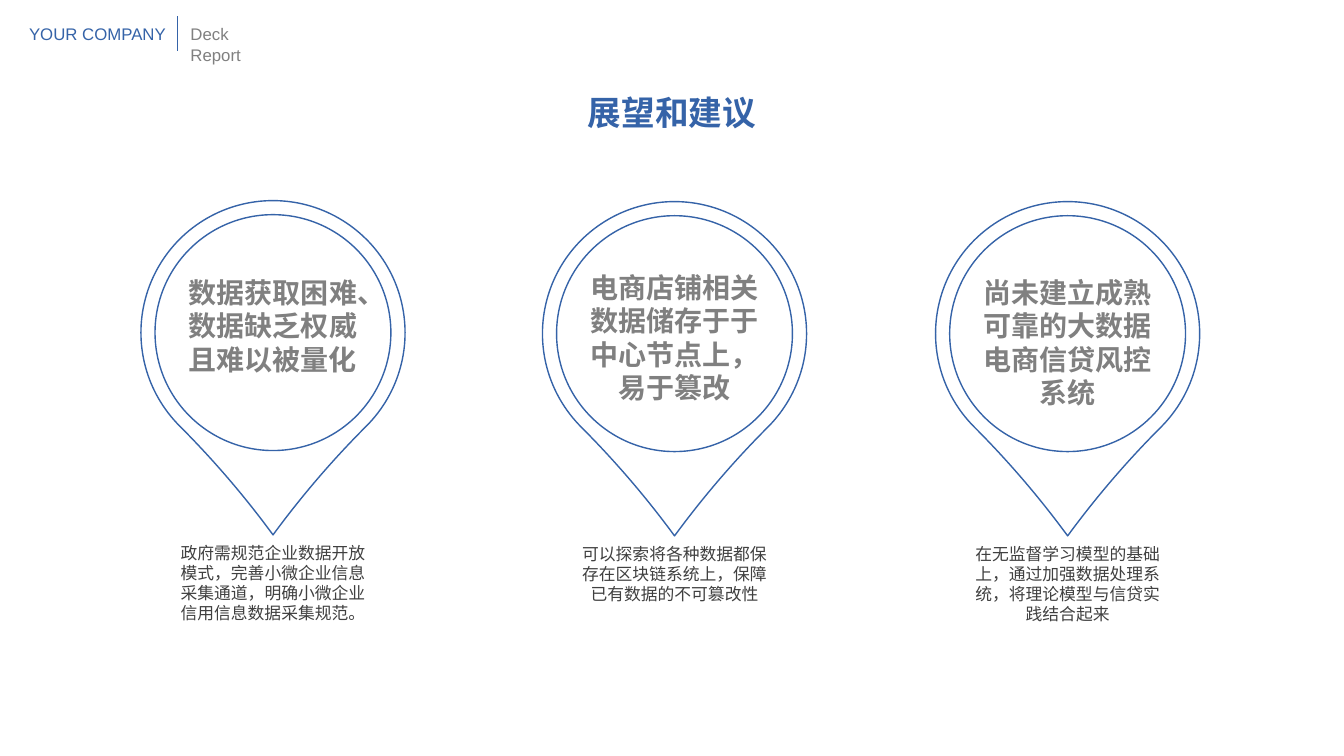
from pptx import Presentation
from pptx.dml.color import RGBColor
from pptx.enum.shapes import MSO_CONNECTOR as Connector, MSO_SHAPE as Shape
from pptx.enum.text import MSO_ANCHOR as Anchor, MSO_AUTO_SIZE as AutoSize, PP_ALIGN as Align
from pptx.oxml.ns import qn
from pptx.util import Inches, Pt
from lxml.etree import SubElement

COLORS = {"blue": "3563A8", "gray": "808080", "dark": "404040", "white": "FFFFFF"}
COLUMNS, ROWS = 160, 90  # square cells across a 16:9 slide
LATIN, CJK = "Arial", "Courier New"


def color(name):
    return RGBColor.from_string(COLORS[name])


class PinSlide:
    """Holds the slide, its grid and its style."""

    def __init__(self, presentation):
        self.column = presentation.slide_width / COLUMNS
        self.row = presentation.slide_height / ROWS
        self.slide = presentation.slides.add_slide(presentation.slide_layouts[5])

    def box(self, left, top, width, height):
        return (round(left * self.column), round(top * self.row),
                round(width * self.column), round(height * self.row))

    def fill_text(self, shape, text, size, tint, font=CJK, bold=False,
                  align=Align.CENTER, wrap=True):
        frame = shape.text_frame
        frame.word_wrap = wrap
        frame.auto_size = AutoSize.SHAPE_TO_FIT_TEXT
        frame.vertical_anchor = Anchor.TOP
        paragraph = frame.paragraphs[0]
        paragraph.alignment = align
        run = paragraph.add_run()
        run.text = text
        run.font.size, run.font.bold, run.font.name = Pt(size), bold, font
        run.font.color.rgb = color(tint)
        # East Asian characters take the same font
        SubElement(run.font._element, qn("a:ea")).set("typeface", font)

    def title(self, text, *place):
        shape = self.slide.shapes.title
        shape.left, shape.top, shape.width, shape.height = self.box(*place)
        self.fill_text(shape, text, 24, "blue", bold=True)

    def text(self, text, place, size, tint, **style):
        shape = self.slide.shapes.add_textbox(*self.box(*place))
        self.fill_text(shape, text, size, tint, **style)

    def outline(self, kind, center, middle, diameter):
        half = diameter / 2
        shape = self.slide.shapes.add_shape(
            kind, *self.box(center - half, middle - half, diameter, diameter))
        shape.shadow.inherit = False
        shape.fill.solid()
        shape.fill.fore_color.rgb = color("white")
        shape.line.color.rgb = color("blue")
        shape.line.width = Pt(1)
        return shape

    def pin(self, center, middle):
        drop = self.outline(Shape.TEAR, center, middle, 31.44)
        drop.adjustments[0] = 1.083
        drop.rotation = 135
        self.outline(Shape.OVAL, center, middle, 28.08)

    def divider(self, column, top, bottom):
        left, start, _, height = self.box(column, top, 0, bottom - top)
        line = self.slide.shapes.add_connector(
            Connector.STRAIGHT, left, start, left, start + height)
        line.line.color.rgb = color("blue")
        line.line.width = Pt(0.5)
        SubElement(line._element.spPr, qn("a:effectLst"))


# Center column, middle row, heading row, heading height, heading, advice
PINS = [
    (32.5, 39.6, 32.16, 13.32, "数据获取困难、数据缺乏权威且难以被量化",
     "政府需规范企业数据开放模式，完善小微企业信息采集通道，明确小微企业信用信息数据采集规范。"),
    (80.3, 39.72, 31.56, 17.4, "电商店铺相关数据储存于于中心节点上，易于篡改",
     "可以探索将各种数据都保存在区块链系统上，保障已有数据的不可篡改性"),
    (127.1, 39.72, 32.16, 17.4, "尚未建立成熟可靠的大数据电商信贷风控系统",
     "在无监督学习模型的基础上，通过加强数据处理系统，将理论模型与信贷实践结合起来"),
]
HEADING_WIDTH, ADVICE_WIDTH = 24.84, 25.2


def main():
    presentation = Presentation()
    presentation.slide_width, presentation.slide_height = Inches(13.33), Inches(7.5)
    page = PinSlide(presentation)

    # Header strip
    page.divider(21.12, 1.92, 6.12)
    header = {"font": LATIN, "align": Align.LEFT, "wrap": False}
    page.text("YOUR COMPANY", (2.28, 2.28, 18.84, 3.6), 12, "blue", **header)
    page.text("Deck Report", (21.5, 2.28, 13.3, 3.6), 12, "gray", **header)

    # Title
    page.title("展望和建议", 48.25, 10.32, 63.5, 6)

    # Pins with a heading inside and advice below the tip
    for center, middle, top, height, heading, advice in PINS:
        page.pin(center, middle)
        page.text(heading, (center - HEADING_WIDTH / 2, top, HEADING_WIDTH, height),
                  20, "gray", bold=True)
        page.text(advice, (center - ADVICE_WIDTH / 2, middle + 24.4, ADVICE_WIDTH, 10.9),
                  12, "dark")

    presentation.save("out.pptx")


if __name__ == "__main__":
    main()
